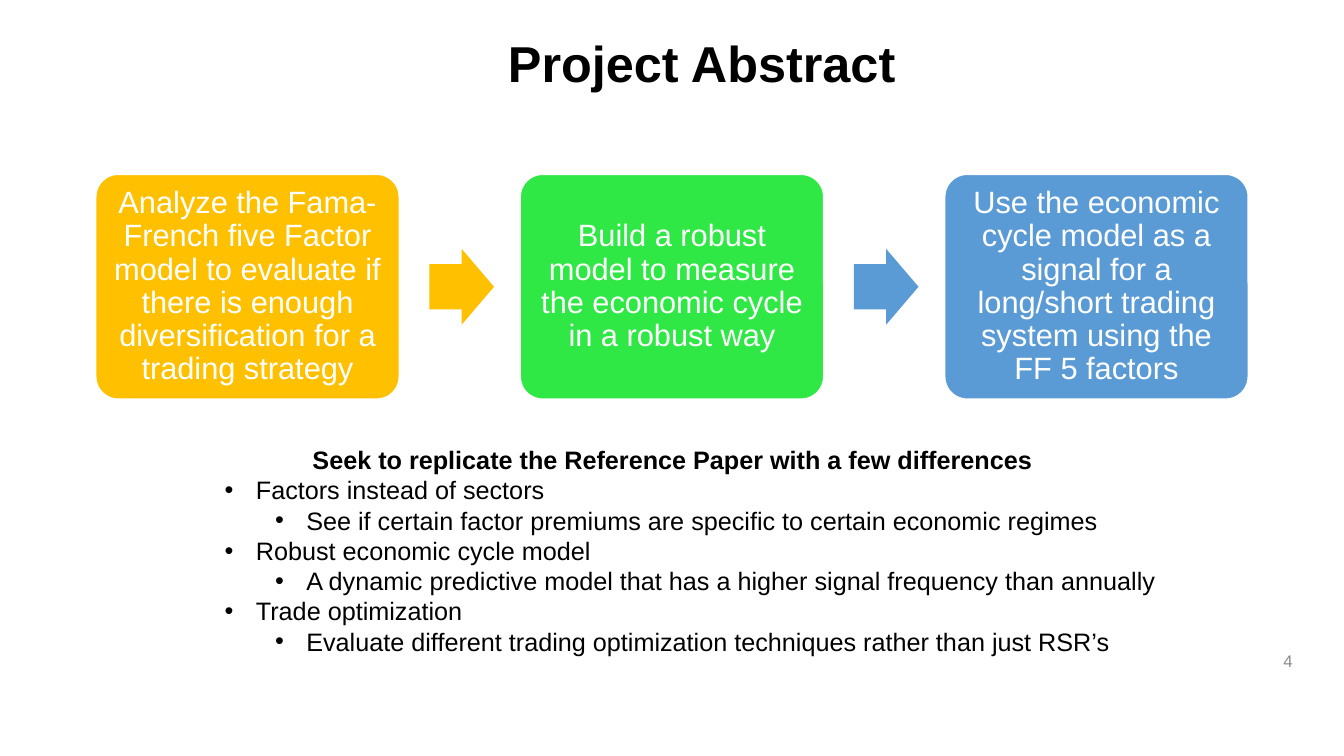
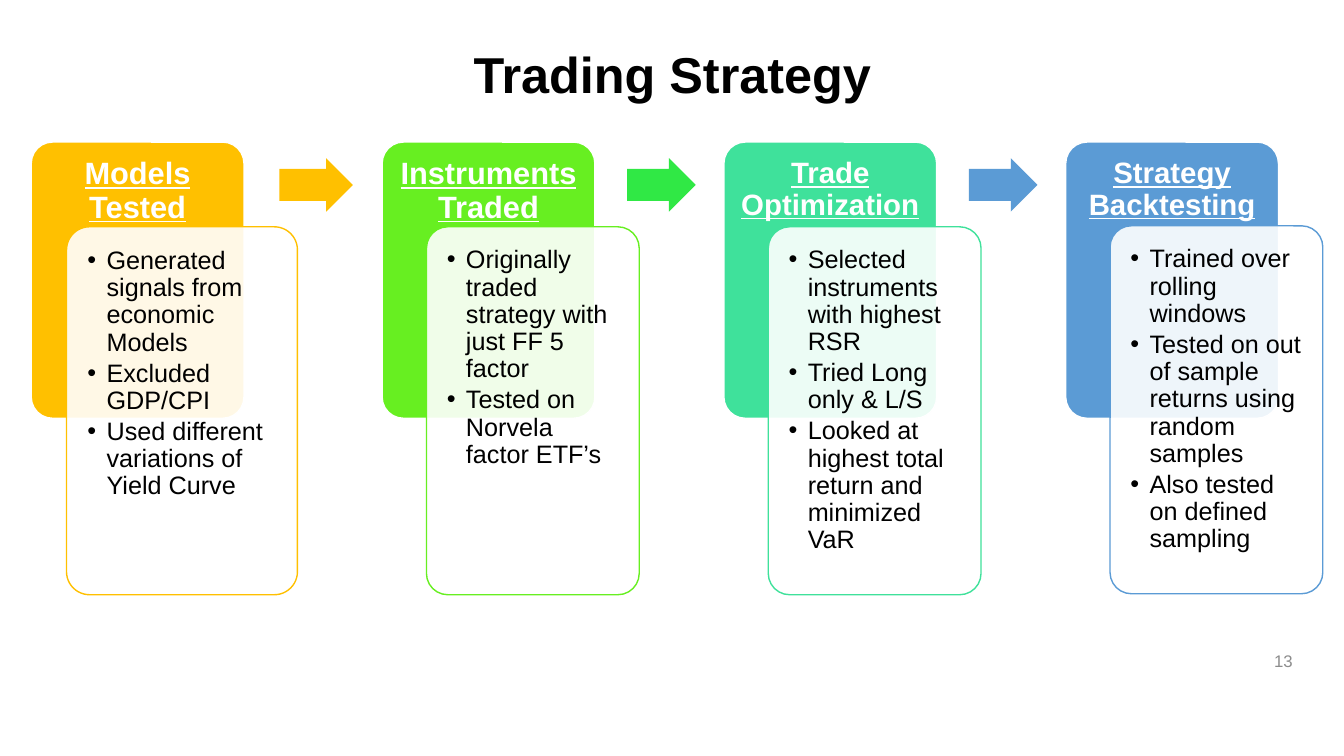
import lxml.etree
import pptx
import pptx.dml.color
import pptx.enum.shapes
import pptx.enum.text
import pptx.oxml.ns
import pptx.util

Inches = pptx.util.Inches
Pt = pptx.util.Pt
RGBColor = pptx.dml.color.RGBColor
Shape = pptx.enum.shapes.MSO_SHAPE
Align = pptx.enum.text.PP_ALIGN
Anchor = pptx.enum.text.MSO_ANCHOR
qn = pptx.oxml.ns.qn

FONT = "Arial"
COLORS = {
    "white": "FFFFFF",
    "black": "000000",
    "gray": "8C8C8C",
    "amber": "FFC000",
    "green": "30E845",
    "lime": "67EF21",
    "teal": "3FE19B",
    "blue": "5B9BD5",
}


def rgb(name):
    return RGBColor.from_string(COLORS[name])


class Deck:
    """Holds the shared style and the slide being built."""

    def __init__(self):
        self.prs = pptx.Presentation()
        self.prs.slide_width = Inches(13.33)
        self.prs.slide_height = Inches(7.5)
        self.slide = None

    def new_slide(self, title, title_left, title_top, number):
        self.slide = self.prs.slides.add_slide(self.prs.slide_layouts[6])
        self.text_box((title_left, title_top, 9.32, 0.71), [title], 36, bold=True)
        self.text_box((9.92, 6.36, 3, 0.4), [number], 12, color="gray",
                      align=Align.RIGHT, anchor=Anchor.MIDDLE)

    def set_text(self, frame, lines, size, color="black", align=Align.CENTER,
                 anchor=Anchor.TOP, bold=False, underline=None, spacing=None):
        frame.word_wrap = True
        frame.vertical_anchor = anchor
        frame.text = "\n".join(lines)
        for paragraph in frame.paragraphs:
            paragraph.alignment = align
            if spacing:
                paragraph.line_spacing = spacing
            for run in paragraph.runs:
                run.font.name = FONT
                run.font.size = Pt(size)
                run.font.bold = bold
                run.font.underline = underline
                run.font.color.rgb = rgb(color)

    def text_box(self, box, lines, size, **style):
        frame = self.slide.shapes.add_textbox(*map(Inches, box)).text_frame
        self.set_text(frame, lines, size, **style)
        return frame

    def bullet(self, paragraph, left, hanging, level=1):
        paragraph.level = level
        paragraph.alignment = Align.LEFT
        properties = paragraph._p.get_or_add_pPr()
        properties.set("marL", str(Inches(left)))
        properties.set("indent", str(-Inches(hanging)))
        lxml.etree.SubElement(properties, qn("a:buFont"), typeface=FONT)
        lxml.etree.SubElement(properties, qn("a:buChar"), char="•")

    def shape(self, kind, box, fill, adjustments, line=None):
        shape = self.slide.shapes.add_shape(kind, *map(Inches, box))
        shape.shadow.inherit = False
        for index, value in enumerate(adjustments):
            shape.adjustments[index] = value
        shape.fill.solid()
        shape.fill.fore_color.rgb = rgb(fill)
        if line:
            shape.line.color.rgb = rgb(line)
            shape.line.width = Pt(1)
        else:
            shape.line.fill.background()
        return shape

    def card(self, box, fill, margin, line="white"):
        """Rounded box with equal text margins."""
        card = self.shape(Shape.ROUNDED_RECTANGLE, box, fill, [0.1], line)
        frame = card.text_frame
        frame.margin_left = frame.margin_right = Inches(margin)
        frame.margin_top = frame.margin_bottom = Inches(margin)
        return card

    def arrow(self, box, fill):
        self.shape(Shape.RIGHT_ARROW, box, fill, [0.6, 0.5])

    def detail(self, box, outline, points):
        """Translucent bulleted panel that overlaps its card."""
        panel = self.card(box, "white", 0.14, outline)
        solid = panel.element.spPr.find(qn("a:solidFill"))
        lxml.etree.SubElement(solid[0], qn("a:alpha"), val="90000")
        self.set_text(panel.text_frame, points, 18, spacing=0.9)
        for paragraph in panel.text_frame.paragraphs:
            self.bullet(paragraph, 0.19, 0.19)
            paragraph.space_after = Pt(2.7)


def build_abstract(deck):
    deck.new_slide("Project Abstract", 2.3, 0.27, "4")

    heading = "Seek to replicate the Reference Paper with a few differences"
    differences = [
        ("Factors instead of sectors",
         "See if certain factor premiums are specific to certain economic regimes"),
        ("Robust economic cycle model",
         "A dynamic predictive model that has a higher signal frequency than annually"),
        ("Trade optimization",
         "Evaluate different trading optimization techniques rather than just RSR’s"),
    ]
    lines = [heading] + [line for pair in differences for line in pair]
    summary = deck.text_box((1.63, 4.36, 10.08, 2.22), lines, 18)
    summary.paragraphs[0].runs[0].font.bold = True
    for index, paragraph in enumerate(summary.paragraphs[1:]):
        level = index % 2 + 1
        deck.bullet(paragraph, 0.31 + 0.5 * level, 0.31, level)

    steps = [
        ("amber", "Analyze the Fama-French five Factor model to evaluate if "
                  "there is enough diversification for a trading strategy"),
        ("green", "Build a robust model to measure the economic cycle in a robust way"),
        ("blue", "Use the economic cycle model as a signal for a long/short "
                 "trading system using the FF 5 factors"),
    ]
    arrow_colors = ["amber", "blue"]
    for index, (color, text) in enumerate(steps):
        left = 0.95 + 4.21 * index
        step = deck.card((left, 1.73, 3.01, 2.23), color, 0.09)
        deck.set_text(step.text_frame, [text], 22, color="white",
                      anchor=Anchor.MIDDLE, spacing=0.9)
        if index < len(arrow_colors):
            deck.arrow((left + 3.31, 2.47, 0.64, 0.75), arrow_colors[index])


def build_strategy(deck):
    deck.new_slide("Trading Strategy", 2.01, 0.38, "13")

    # heading, size, color, card left, panel (left, top, width), points
    stages = [
        ("Models Tested", 22, "amber", 0.31, (0.66, 2.25, 2.29),
         ["Generated signals from economic Models", "Excluded GDP/CPI",
          "Used different variations of Yield Curve"]),
        ("Instruments Traded", 22, "lime", 3.79, (4.23, 2.25, 2.11),
         ["Originally traded strategy with just FF 5 factor",
          "Tested on Norvela factor ETF’s"]),
        ("Trade Optimization", 21, "teal", 7.18, (7.62, 2.25, 2.11),
         ["Selected instruments with highest RSR", "Tried Long only & L/S",
          "Looked at highest total return and minimized VaR"]),
        ("Strategy Backtesting", 21, "blue", 10.57, (11.01, 2.24, 2.11),
         ["Trained over rolling windows",
          "Tested on out of sample returns using random samples",
          "Also tested on defined sampling"]),
    ]
    for heading, size, color, left, panel, points in stages:
        stage = deck.card((left, 1.41, 2.11, 2.74), color, 0.1)
        deck.set_text(stage.text_frame, [heading], size, color="white",
                      bold=True, underline=True, spacing=0.9)
        deck.detail((*panel, 3.65), color, points)

    for left, width, color in [(2.77, 0.73, "amber"), (6.22, 0.68, "green"),
                               (9.61, 0.68, "blue")]:
        deck.arrow((left, 1.57, width, 0.53), color)


def main():
    deck = Deck()
    build_abstract(deck)
    build_strategy(deck)
    deck.prs.save("out.pptx")


if __name__ == "__main__":
    main()
